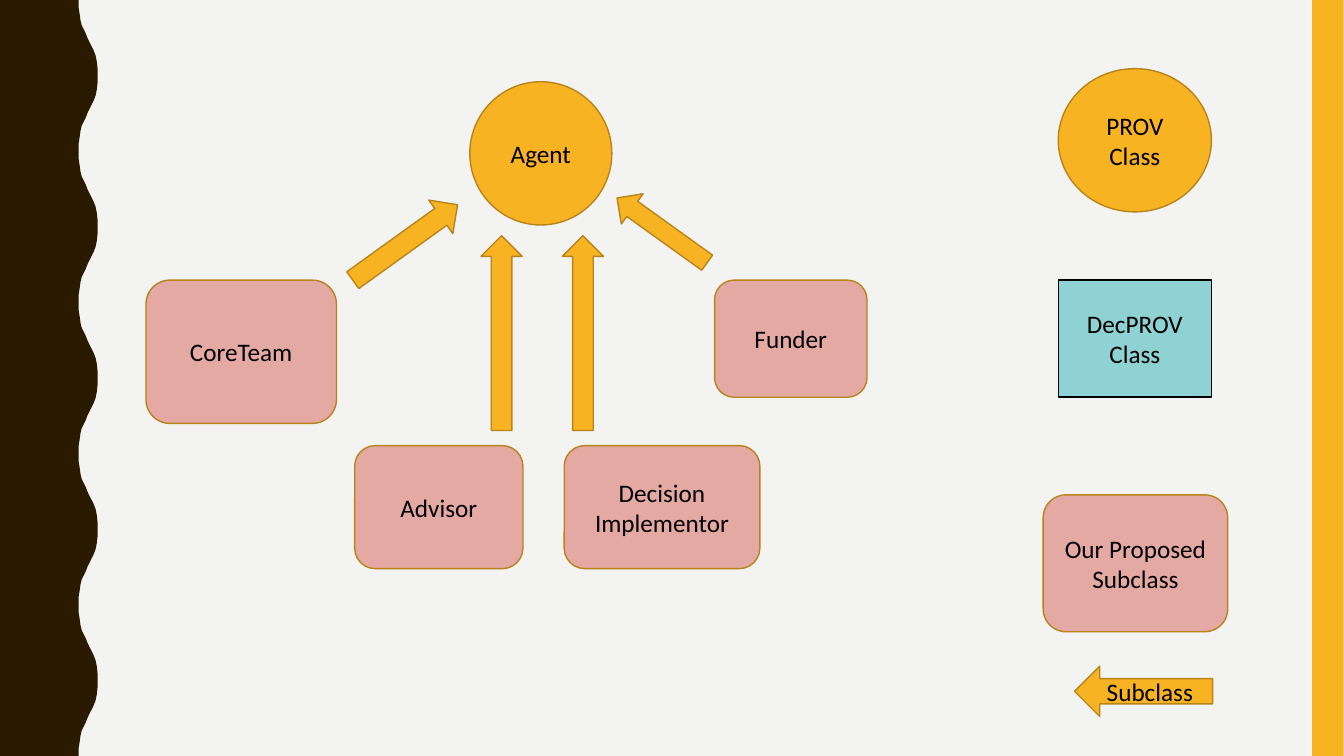
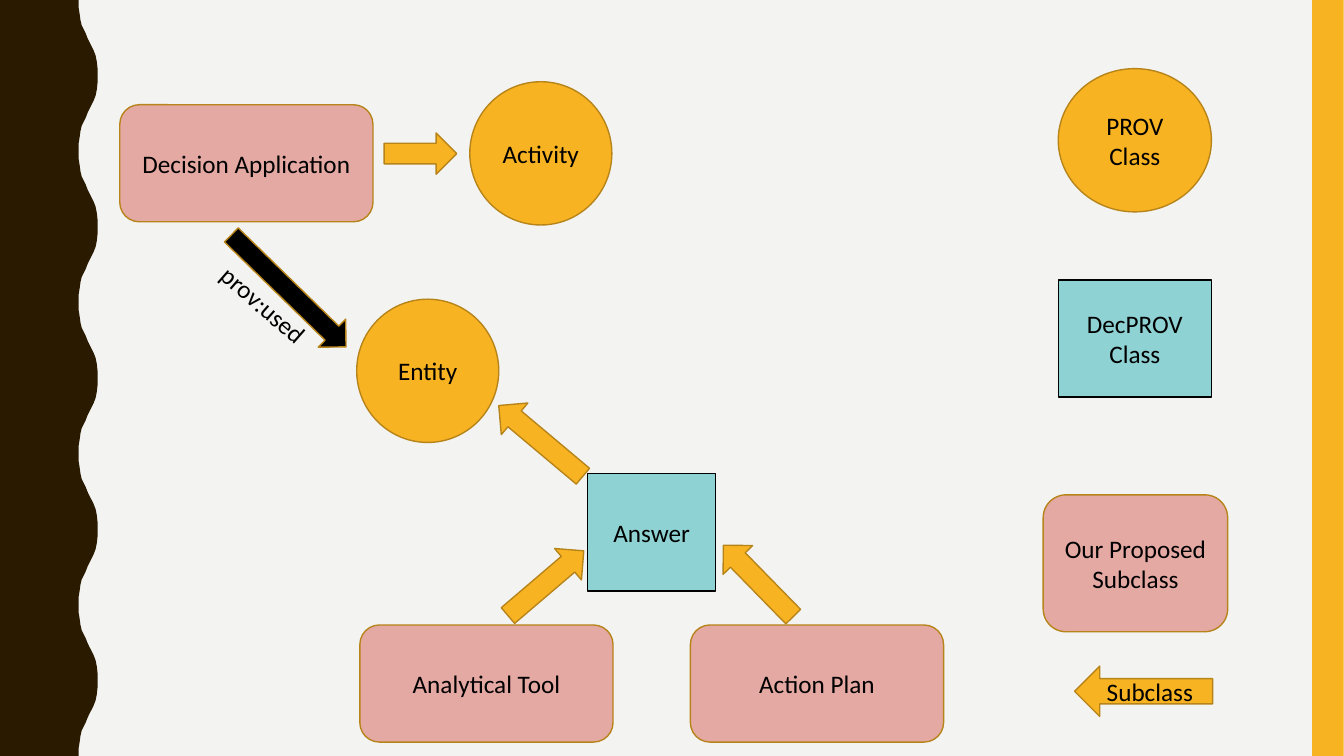
from math import atan2, degrees, hypot

from pptx import Presentation
from pptx.dml.color import RGBColor
from pptx.enum.shapes import MSO_SHAPE
from pptx.enum.text import MSO_ANCHOR, PP_ALIGN
from pptx.util import Cm, Pt

ELLIPSE = MSO_SHAPE.OVAL
RECTANGLE = MSO_SHAPE.RECTANGLE
ROUNDED = MSO_SHAPE.ROUNDED_RECTANGLE
LEFT_ARROW = MSO_SHAPE.LEFT_ARROW
CENTER = PP_ALIGN.CENTER
MIDDLE = MSO_ANCHOR.MIDDLE

PAGE_WIDTH, PAGE_HEIGHT = 33.87, 19.05
BLANK_LAYOUT = 6

# Outward half of one wave of the left band: x, y in cm
HALF_WAVE = [
    (1.98, 0), (1.98, 0.18), (2.01, 0.36), (2.03, 0.51), (2.06, 0.64),
    (2.11, 0.74), (2.16, 0.84), (2.21, 0.97), (2.26, 1.07), (2.31, 1.17),
    (2.36, 1.27), (2.41, 1.4), (2.44, 1.55), (2.46, 1.73), (2.46, 1.9),
]
WAVE_COUNT = 5
WAVE_HEIGHT = PAGE_HEIGHT / WAVE_COUNT


def color(hex_string):
    return RGBColor.from_string(hex_string)


class Diagram:
    """Holds the shared style and the slide being drawn."""

    FONT, SIZE = "Calibri", Pt(18)
    PAPER, BARK, AMBER = "F3F3F2", "2A1A00", "F8B323"
    BRONZE, ROSE, TEAL, BLACK = "B7841A", "E5A9A4", "8FD2D4", "000000"

    def __init__(self):
        self.deck = Presentation()
        self.deck.slide_width = Cm(PAGE_WIDTH)
        self.deck.slide_height = Cm(PAGE_HEIGHT)
        self.page = None

    def new_page(self):
        layout = self.deck.slide_layouts[BLANK_LAYOUT]
        self.page = self.deck.slides.add_slide(layout)
        background = self.page.background.fill
        background.solid()
        background.fore_color.rgb = color(self.PAPER)
        self.wave_band()
        self.shape(RECTANGLE, 33.07, 0, 0.79, PAGE_HEIGHT, self.AMBER, None)
        self.legend()

    def paint(self, shape, fill, line):
        shape.shadow.inherit = False
        shape.fill.solid()
        shape.fill.fore_color.rgb = color(fill)
        if line:
            shape.line.color.rgb = color(line)
            shape.line.width = Pt(1)
        else:
            shape.line.fill.background()

    def set_text(self, shape, text, alignment=None):
        shape.text_frame.text = text
        for para in shape.text_frame.paragraphs:
            para.alignment = alignment
            para.font.name = self.FONT
            para.font.size = self.SIZE
            para.font.color.rgb = color(self.BLACK)

    def shape(self, kind, left, top, width, height, fill, line, text=""):
        shape = self.page.shapes.add_shape(
            kind, Cm(left), Cm(top), Cm(width), Cm(height))
        self.paint(shape, fill, line)
        if text:
            shape.text_frame.word_wrap = True
            shape.text_frame.vertical_anchor = MIDDLE
            self.set_text(shape, text, CENTER)
        return shape

    # Diagram elements
    def prov_class(self, text, left, top, width=3.58):
        self.shape(ELLIPSE, left, top, width, 3.61,
                   self.AMBER, self.BRONZE, text)

    def decprov_class(self, text, left, top, width):
        self.shape(RECTANGLE, left, top, width, 2.95,
                   self.TEAL, self.BLACK, text)

    def subclass(self, text, left, top, width=6.38, height=2.95):
        self.shape(ROUNDED, left, top, width, height,
                   self.ROSE, self.BRONZE, text)

    def arrow(self, tail, tip, thickness=1.04, fill=AMBER, text=""):
        """Block arrow from tail to tip, turned about its middle."""
        across, down = tip[0] - tail[0], tip[1] - tail[1]
        length = hypot(across, down)
        left = (tail[0] + tip[0] - length) / 2
        top = (tail[1] + tip[1] - thickness) / 2
        shape = self.shape(LEFT_ARROW, left, top, length, thickness,
                           fill, self.BRONZE, text)
        shape.rotation = degrees(atan2(down, across)) - 180

    def label(self, text, left, top, width, height, rotation):
        box = self.page.shapes.add_textbox(
            Cm(left), Cm(top), Cm(width), Cm(height))
        box.rotation = rotation
        box.text_frame.word_wrap = True
        self.set_text(box, text)

    # Parts on every page
    def wave_band(self):
        outline = []
        for wave in range(WAVE_COUNT):
            start = wave * WAVE_HEIGHT
            outline += [(x, start + y) for x, y in HALF_WAVE]
            outline += [(x, start + WAVE_HEIGHT - y)
                        for x, y in reversed(HALF_WAVE)]
        outline.append((0, PAGE_HEIGHT))
        builder = self.page.shapes.build_freeform(0, 0)
        builder.add_line_segments([(Cm(x), Cm(y)) for x, y in outline])
        self.paint(builder.convert_to_shape(), self.BARK, None)

    def legend(self):
        self.prov_class("PROV Class", 26.67, 1.73, 3.86)
        self.decprov_class("DecPROV\nClass", 26.67, 7.06, 3.86)
        self.subclass("Our Proposed Subclass", 26.29, 12.47, 4.65, 3.45)
        self.arrow((30.56, 17.42), (27.08, 17.42), 1.27, text="Subclass")


def agent_page(diagram):
    diagram.new_page()
    diagram.prov_class("Agent", 11.84, 2.06)
    diagram.subclass("Decision\nImplementor", 14.22, 11.23, 4.93, 3.1)
    diagram.subclass("Funder", 18.01, 7.06, 3.84)
    diagram.subclass("Advisor", 8.94, 11.23, 4.24, 3.1)
    diagram.subclass("CoreTeam", 3.68, 7.06, 4.8, 3.61)
    diagram.arrow((8.89, 7.06), (11.53, 5.16))
    for x in (12.64, 14.69):
        diagram.arrow((x, 10.85), (x, 5.94))
    diagram.arrow((17.82, 6.62), (15.55, 4.99), 0.94)


def activity_page(diagram):
    diagram.new_page()
    diagram.prov_class("Activity", 11.84, 2.06)
    diagram.arrow((9.68, 3.87), (11.51, 3.87))
    diagram.arrow((5.83, 5.92), (8.72, 8.74), 0.99, diagram.BLACK)
    diagram.decprov_class("Answer", 14.81, 11.94, 3.23)
    diagram.subclass("Decision Application", 3.02, 2.64)
    diagram.subclass("Analytical Tool", 9.07, 15.75)
    diagram.subclass("Action Plan", 17.4, 15.75)
    diagram.arrow((12.8, 15.51), (14.71, 13.88))
    diagram.arrow((14.69, 12), (12.57, 10.22))
    diagram.prov_class("Entity", 8.99, 7.54)
    diagram.arrow((19.99, 15.54), (18.23, 13.74))
    diagram.label("prov:used", 5.08, 7.24, 3.28, 1.02, 41.2)


def main():
    diagram = Diagram()
    agent_page(diagram)
    activity_page(diagram)
    diagram.deck.save("out.pptx")


if __name__ == "__main__":
    main()
